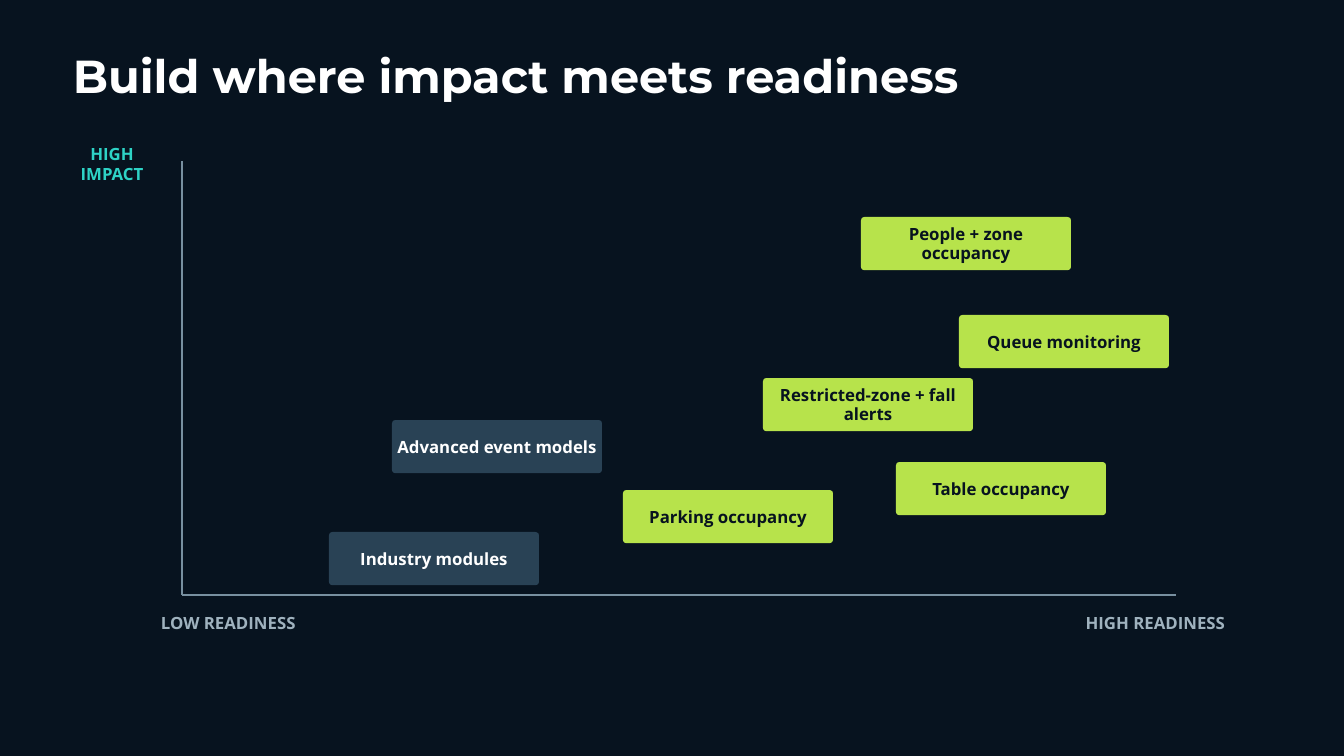
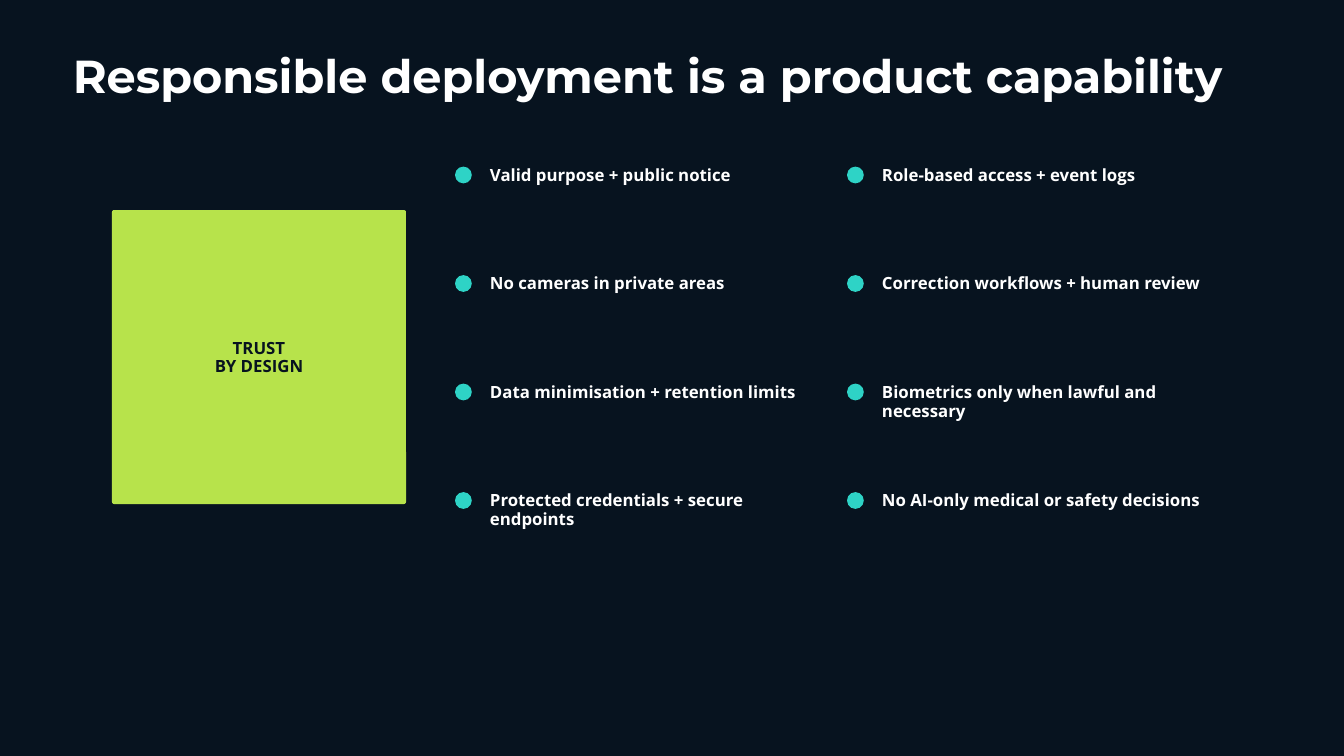
from dataclasses import dataclass

from lxml import etree
from pptx import Presentation
from pptx.dml.color import RGBColor
from pptx.enum import shapes, text
from pptx.oxml.ns import qn
from pptx import util as u

PX = 9525
TITLE_ONLY = 5
LEFT, CENTER, RIGHT = text.PP_ALIGN.LEFT, text.PP_ALIGN.CENTER, text.PP_ALIGN.RIGHT


@dataclass(frozen=True)
class Theme:
    night: str = "07131F"
    white: str = "FFFFFF"
    lime: str = "B7E34B"
    slate: str = "294255"
    teal: str = "2ED3C6"
    axis: str = "7890A0"
    mist: str = "9FB2BE"
    title_font: str = "Montserrat"
    body_font: str = "Open Sans"
    title_size: float = 49.5
    title_leading: float = 52
    body_size: float = 18
    label_leading: float = 20.7
    card_leading: float = 19.8
    axis_width: float = 2.25


def px(*lengths):
    return [u.Emu(length * PX) for length in lengths]


class Deck:
    def __init__(self, theme):
        self.theme = theme
        self.prs = Presentation()
        self.prs.slide_width, self.prs.slide_height = px(1920, 1080)
        self.paint(self.prs.slide_master.background.fill, theme.night)
        self.slide = None

    def paint(self, fill, color):
        fill.solid()
        fill.fore_color.rgb = RGBColor.from_string(color)

    def set_text(self, frame, wording, color, align, leading, inset=0,
                 anchor=text.MSO_ANCHOR.TOP, font=None, size=None):
        frame.word_wrap = True
        frame.vertical_anchor = anchor
        frame.margin_left = frame.margin_right = u.Emu(inset * PX)
        frame.margin_top = frame.margin_bottom = u.Emu(inset * PX)
        for index, line in enumerate(wording.split("\n")):
            paragraph = frame.add_paragraph() if index else frame.paragraphs[0]
            paragraph.alignment = align
            paragraph.line_spacing = u.Pt(leading)
            run = paragraph.add_run()
            run.text = line
            run.font.name = font or self.theme.body_font
            run.font.size = u.Pt(size or self.theme.body_size)
            run.font.bold = True
            run.font.color.rgb = RGBColor.from_string(color)

    def start_slide(self, heading):
        theme = self.theme
        self.slide = self.prs.slides.add_slide(self.prs.slide_layouts[TITLE_ONLY])
        title = self.slide.shapes.title
        title.left, title.top, title.width, title.height = px(104, 78, 1712, 71)
        self.set_text(title.text_frame, heading, theme.white, LEFT, theme.title_leading,
                      font=theme.title_font, size=theme.title_size)
        title.text_frame.auto_size = text.MSO_AUTO_SIZE.NONE

    def label(self, wording, x, y, width, height, color, align=LEFT):
        box = self.slide.shapes.add_textbox(*px(x, y, width, height))
        self.set_text(box.text_frame, wording, color, align, self.theme.label_leading)
        box.text_frame.auto_size = text.MSO_AUTO_SIZE.SHAPE_TO_FIT_TEXT

    def filled(self, preset, x, y, width, height, color):
        shape = self.slide.shapes.add_shape(preset, *px(x, y, width, height))
        shape.shadow.inherit = False
        self.paint(shape.fill, color)
        shape.line.fill.background()
        return shape

    def card(self, wording, x, y, width, height, fill, ink, radius):
        card = self.filled(shapes.MSO_SHAPE.ROUNDED_RECTANGLE, x, y, width, height, fill)
        card.adjustments[0] = radius / min(width, height)
        self.set_text(card.text_frame, wording, ink, CENTER, self.theme.card_leading,
                      inset=4, anchor=text.MSO_ANCHOR.MIDDLE)
        card.text_frame.margin_top = u.Emu(6 * PX)

    def dot(self, x, y, diameter):
        self.filled(shapes.MSO_SHAPE.OVAL, x, y, diameter, diameter, self.theme.teal)

    def axis(self, x1, y1, x2, y2):
        axis = self.slide.shapes.add_connector(
            shapes.MSO_CONNECTOR.STRAIGHT, *px(x1, y1, x2, y2))
        axis.line.color.rgb = RGBColor.from_string(self.theme.axis)
        axis.line.width = u.Pt(self.theme.axis_width)
        etree.SubElement(axis._element.spPr, qn("a:effectLst"))


def build_priorities(deck):
    theme = deck.theme
    deck.start_slide("Build where impact meets readiness")
    deck.axis(260, 850, 1680, 850)
    deck.axis(260, 230, 260, 850)
    build_now = (theme.lime, theme.night)
    build_later = (theme.slate, theme.white)
    for module, x, y, (fill, ink) in (
        ("People + zone occupancy", 1230, 310, build_now),
        ("Queue monitoring", 1370, 450, build_now),
        ("Restricted-zone + fall alerts", 1090, 540, build_now),
        ("Table occupancy", 1280, 660, build_now),
        ("Parking occupancy", 890, 700, build_now),
        ("Advanced event models", 560, 600, build_later),
        ("Industry modules", 470, 760, build_later),
    ):
        deck.card(module, x, y, 300, 76, fill, ink, radius=5)
    deck.label("LOW READINESS", 230, 877, 300, 26, theme.mist)
    deck.label("HIGH READINESS", 1450, 877, 300, 26, theme.mist, RIGHT)
    deck.label("HIGH\nIMPACT", 100, 207, 120, 53, theme.teal, CENTER)


def build_safeguards(deck):
    theme = deck.theme
    deck.start_slide("Responsible deployment is a product capability")
    deck.card("TRUST\nBY DESIGN", 160, 300, 420, 420, theme.lime, theme.night, radius=3)
    safeguards = (
        ("Valid purpose + public notice",
         "No cameras in private areas",
         "Data minimisation + retention limits",
         "Protected credentials + secure endpoints"),
        ("Role-based access + event logs",
         "Correction workflows + human review",
         "Biometrics only when lawful and necessary",
         "No AI-only medical or safety decisions"),
    )
    for column, group in enumerate(safeguards):
        x = 650 + 560 * column
        for row, safeguard in enumerate(group):
            y = 236 + 155 * row
            deck.dot(x, y + 2, 24)
            deck.label(safeguard, x + 50, y, 480, 27, theme.white)


def main():
    deck = Deck(Theme())
    build_priorities(deck)
    build_safeguards(deck)
    deck.prs.save("out.pptx")


if __name__ == "__main__":
    main()
